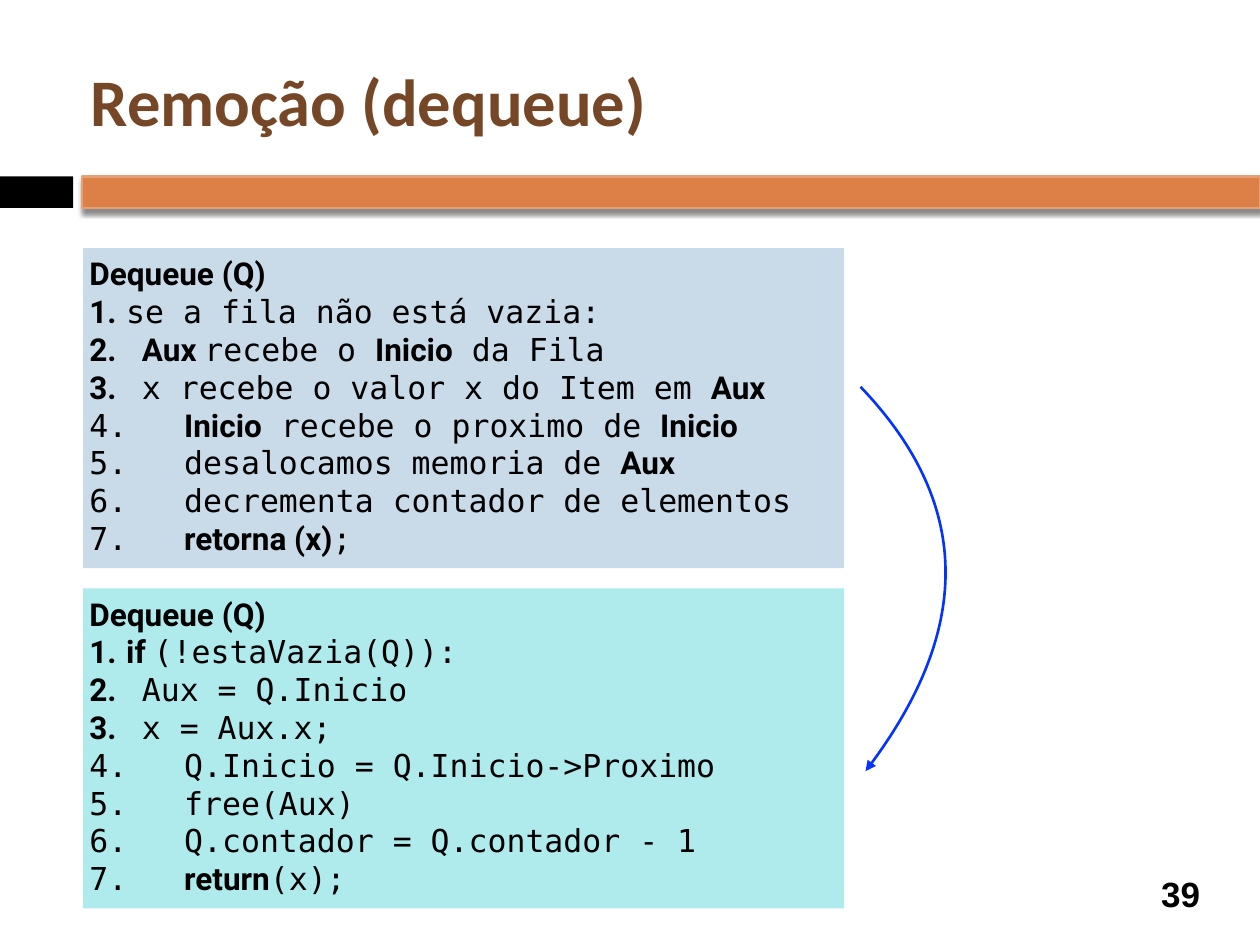
from lxml import etree
from pptx import Presentation
from pptx.dml.color import RGBColor
from pptx.enum.shapes import MSO_SHAPE
from pptx.enum.text import MSO_ANCHOR, MSO_AUTO_SIZE, PP_ALIGN
from pptx.oxml.ns import qn
from pptx.util import Inches, Pt

RECTANGLE = MSO_SHAPE.RECTANGLE
TOP, MIDDLE = MSO_ANCHOR.TOP, MSO_ANCHOR.MIDDLE
LEFT, CENTER = PP_ALIGN.LEFT, PP_ALIGN.CENTER
FIT_SHAPE = MSO_AUTO_SIZE.SHAPE_TO_FIT_TEXT

BLACK = RGBColor(0x00, 0x00, 0x00)
BROWN = RGBColor(0x75, 0x47, 0x26)
ORANGE = RGBColor(0xDD, 0x80, 0x47)
LIGHT_ORANGE = RGBColor(0xE5, 0xA0, 0x75)
PALE_BLUE = RGBColor(0xC9, 0xDA, 0xE8)
PALE_CYAN = RGBColor(0xAF, 0xEB, 0xEC)
ARROW_BLUE = RGBColor(0x04, 0x33, 0xFF)

BOLD_MARK = "*"
PSEUDOCODE = [
    "* *se a fila não está vazia:",
    "*   Aux *recebe o *Inicio* da Fila",
    "*   *x recebe o valor x do Item em *Aux*",
    "   *Inicio* recebe o proximo de *Inicio*",
    "   desalocamos memoria de *Aux*",
    "   decrementa contador de elementos",
    "   *retorna (x)*;",
]
CODE = [
    "* if *(!estaVazia(Q)):",
    "*   *Aux = Q.Inicio",
    "*   *x = Aux.x;",
    "   Q.Inicio = Q.Inicio->Proximo",
    "   free(Aux)",
    "   Q.contador = Q.contador - 1",
    "   *return*(x);",
]


def style_font(font, name, size, color, bold):
    font.name, font.size, font.bold = name, Pt(size), bold
    font.color.rgb = color


def set_frame(frame, anchor):
    frame.word_wrap = True
    frame.vertical_anchor = anchor
    frame.margin_left = frame.margin_right = Inches(0.05)
    frame.margin_top = frame.margin_bottom = Inches(0.05)


def add_label(slide, box, text, font_name, size, color, align):
    frame = slide.shapes.add_textbox(*map(Inches, box)).text_frame
    set_frame(frame, MIDDLE)
    frame.text = text
    paragraph = frame.paragraphs[0]
    paragraph.alignment = align
    style_font(paragraph.runs[0].font, font_name, size, color, True)


def add_block(slide, box, color):
    block = slide.shapes.add_shape(RECTANGLE, *map(Inches, box))
    block.fill.solid()
    block.fill.fore_color.rgb = color
    block.line.fill.background()
    block.shadow.inherit = False
    return block


def add_divider(slide, left, top, width, height):
    tab_width, gap = 0.58, 0.07
    add_block(slide, (left, top, tab_width, height), BLACK)
    bar_left = left + tab_width + gap
    bar = add_block(slide, (bar_left, top, left + width - bar_left, height), ORANGE)
    bar.line.color.rgb = LIGHT_ORANGE
    bar.line.width = Pt(1.5)
    effects = bar._element.spPr.find(qn("a:effectLst"))
    shadow = etree.SubElement(
        effects, qn("a:outerShdw"), blurRad=str(Pt(3)), dist=str(Pt(2.4)),
        dir="5400000", rotWithShape="0")
    shadow_color = etree.SubElement(shadow, qn("a:srgbClr"), val=str(BLACK))
    etree.SubElement(shadow_color, qn("a:alpha"), val="45000")


def add_algorithm(slide, box, color, heading, steps):
    frame = add_block(slide, box, color).text_frame
    set_frame(frame, TOP)
    frame.auto_size = FIT_SHAPE
    frame.text = heading
    title = frame.paragraphs[0]
    title.alignment = LEFT
    style_font(title.runs[0].font, "Roboto", 18, BLACK, True)
    for step in steps:
        paragraph = frame.add_paragraph()
        paragraph.alignment = LEFT
        properties = paragraph._p.get_or_add_pPr()
        properties.set("marL", str(Inches(0.23)))
        properties.set("indent", str(-Inches(0.23)))
        etree.SubElement(properties, qn("a:buAutoNum"), type="arabicPeriod")
        for position, part in enumerate(step.split(BOLD_MARK)):
            if part:
                bold = position % 2 == 1
                run = paragraph.add_run()
                run.text = part
                font_name = "Roboto" if bold else "DejaVu Sans Mono"
                style_font(run.font, font_name, 18, BLACK, bold)


def add_curved_arrow(slide, left, top, width, height):
    right, bottom = left + width, top + height
    tip = (left + 0.04, bottom)
    curve = [(7.72, 5.01), (7.71, 3.99), (left, top)]
    builder = slide.shapes.build_freeform(*map(Inches, tip), scale=1.0)
    corners = [(right, top + height / 2), (left, top)]
    builder.add_line_segments(
        [(Inches(x), Inches(y)) for x, y in corners], close=False)
    arrow = builder.convert_to_shape()
    arrow.fill.background()
    arrow.line.color.rgb = ARROW_BLUE
    arrow.line.width = Pt(1.5)
    arrow.shadow.inherit = False

    properties = arrow._element.spPr
    outline = next(properties.iter(qn("a:path")))
    for segment in outline.findall(qn("a:lnTo")):
        outline.remove(segment)
    bezier = etree.SubElement(outline, qn("a:cubicBezTo"))
    for x, y in curve:
        etree.SubElement(bezier, qn("a:pt"),
                         x=str(Inches(x - left)), y=str(Inches(y - top)))
    etree.SubElement(properties.find(qn("a:ln")), qn("a:headEnd"), type="triangle")


def main():
    presentation = Presentation()
    presentation.slide_width = Inches(10)
    presentation.slide_height = Inches(7.5)
    slide = presentation.slides.add_slide(presentation.slide_layouts[6])

    add_divider(slide, 0, 1.4, 10, 0.25)
    add_label(slide, (9.08, 6.89, 0.58, 0.41), "39", "Arial", 20, BLACK, CENTER)
    add_label(slide, (0.67, 0.25, 8.92, 1.08), "Remoção (dequeue)",
              "Calibri", 38, BROWN, LEFT)
    panels = [(PALE_BLUE, PSEUDOCODE), (PALE_CYAN, CODE)]
    for row, (color, steps) in enumerate(panels):
        box = (0.66, 1.97 + row * 2.7, 6.04, 2.54)
        add_algorithm(slide, box, color, "Dequeue (Q)", steps)
    add_curved_arrow(slide, 6.83, 3.07, 0.67, 3.05)
    presentation.save("out.pptx")


if __name__ == "__main__":
    main()
